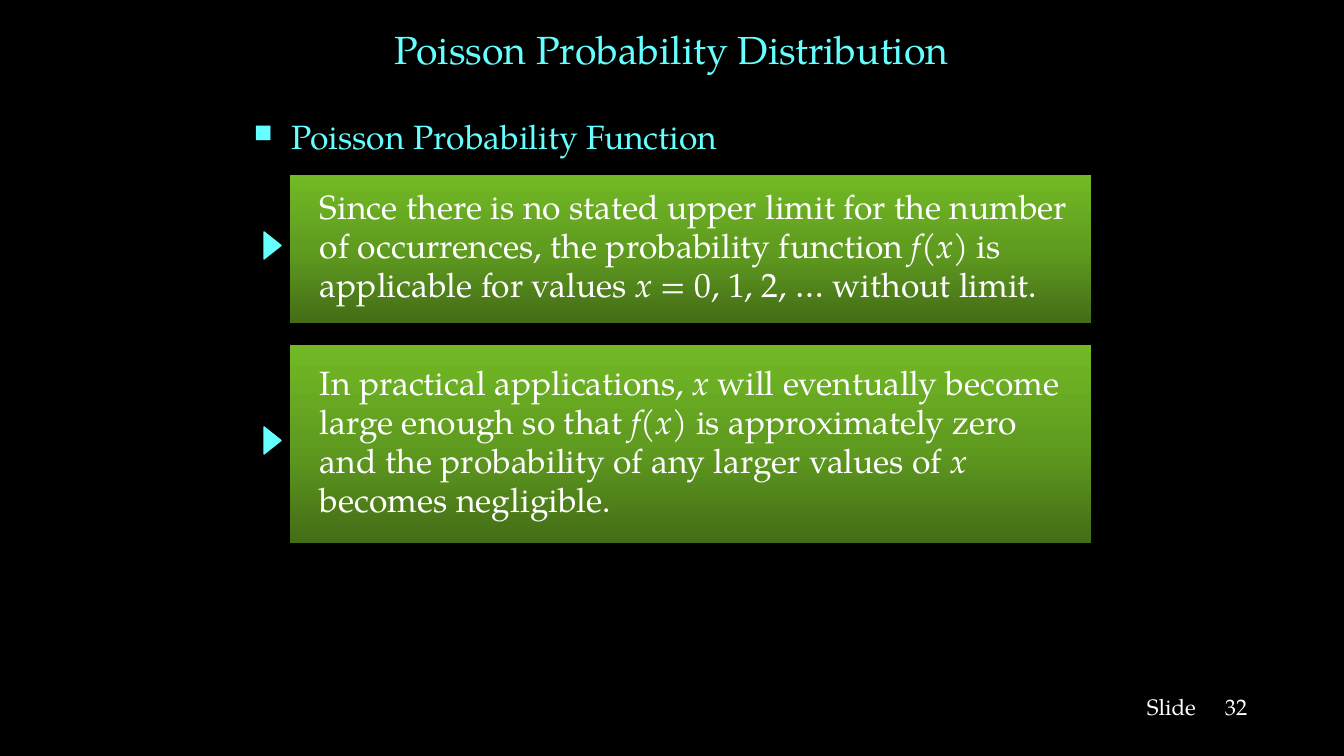
from dataclasses import dataclass

from lxml import etree
from pptx import Presentation
from pptx import util as u
from pptx.dml.color import RGBColor
from pptx.enum import shapes, text
from pptx.oxml.ns import qn

EMU_PER_PX = 914400 / 100.8


@dataclass(frozen=True)
class Theme:
    font: str = "TeX Gyre Pagella"
    background: str = "000000"
    accent: str = "66FFFF"
    body: str = "FFFFFF"
    gradient: tuple[str, ...] = ("446D16", "609C20", "72B925")
    title_size: int = 28
    body_size: int = 24
    footer_size: int = 16


@dataclass(frozen=True)
class Box:
    left: int
    top: int
    width: int
    height: int


@dataclass(frozen=True)
class Label:
    text: str
    box: Box
    size: int
    color: str
    align: text.PP_ALIGN = text.PP_ALIGN.LEFT
    anchor: text.MSO_ANCHOR = text.MSO_ANCHOR.TOP
    bullet: bool = False


@dataclass(frozen=True)
class Panel:
    box: Box
    marker_top: int
    lines: tuple[tuple[str, ...], ...]  # runs alternate upright, italic


THEME = Theme()

LABELS = (
    Label("Poisson Probability Distribution", Box(243, 4, 857, 90),
          THEME.title_size, THEME.accent, text.PP_ALIGN.CENTER, text.MSO_ANCHOR.MIDDLE),
    Label("Poisson Probability Function", Box(244, 111, 857, 55),
          THEME.body_size, THEME.accent, bullet=True),
    Label("Slide", Box(1137, 688, 75, 37), THEME.footer_size, THEME.body),
    Label("32", Box(1215, 688, 50, 37), THEME.footer_size, THEME.body),
)

PANELS = (
    Panel(Box(290, 175, 801, 148), 237, (
        ("Since there is no stated upper limit for the number",),
        ("of occurrences, the probability function ", "f", "(", "x", ") is"),
        ("applicable for values ", "x", " = 0, 1, 2, … without limit."),
    )),
    Panel(Box(290, 345, 801, 198), 432, (
        ("In practical applications, ", "x", " will eventually become"),
        ("large enough so that ", "f", "(", "x", ") is approximately zero"),
        ("and the probability of any larger values of ", "x"),
        ("becomes negligible.",),
    )),
)


def px(n: int) -> u.Emu:
    return u.Emu(round(n * EMU_PER_PX))


def place(box: Box) -> tuple[u.Emu, ...]:
    return px(box.left), px(box.top), px(box.width), px(box.height)


def add_run(p, words: str, size: int, color: str, italic: bool = False) -> None:
    r = p.add_run()
    r.text = words
    r.font.name = THEME.font
    r.font.size = u.Pt(size)
    r.font.italic = italic
    r.font.color.rgb = RGBColor.from_string(color)


def add_bullet(p, color: str) -> None:
    pPr = p._p.get_or_add_pPr()
    pPr.set("marL", str(px(38)))
    pPr.set("indent", str(-px(38)))
    tint = etree.SubElement(pPr, qn("a:buClr"))
    etree.SubElement(tint, qn("a:srgbClr"), val=color)
    etree.SubElement(pPr, qn("a:buSzPct"), val="75000")
    etree.SubElement(pPr, qn("a:buChar"), char="■")


def add_label(s, label: Label) -> None:
    tf = s.shapes.add_textbox(*place(label.box)).text_frame
    tf.word_wrap = True
    tf.vertical_anchor = label.anchor
    p = tf.paragraphs[0]
    p.alignment = label.align
    if label.bullet:
        p.space_before = u.Pt(label.size * 0.2)
        add_bullet(p, label.color)
    add_run(p, label.text, label.size, label.color)


def fill_gradient(sp, colors: tuple[str, ...]) -> None:
    """Spread the colours evenly from the bottom edge to the top edge."""
    sp.fill.gradient()
    grad = sp._element.spPr.find(qn("a:gradFill"))
    for child in list(grad):
        grad.remove(child)
    stops = etree.SubElement(grad, qn("a:gsLst"))
    for i, color in enumerate(colors):
        stop = etree.SubElement(stops, qn("a:gs"), pos=str(100000 * i // (len(colors) - 1)))
        etree.SubElement(stop, qn("a:srgbClr"), val=color)
    etree.SubElement(grad, qn("a:lin"), ang="16200000", scaled="0")


def add_panel(s, panel: Panel) -> None:
    sp = s.shapes.add_shape(shapes.MSO_SHAPE.RECTANGLE, *place(panel.box))
    sp.shadow.inherit = False
    sp.line.fill.background()
    fill_gradient(sp, THEME.gradient)
    tf = sp.text_frame
    tf.word_wrap = True
    tf.vertical_anchor = text.MSO_ANCHOR.MIDDLE
    tf.margin_left, tf.margin_right = px(30), px(0)
    for i, line in enumerate(panel.lines):
        p = tf.add_paragraph() if i else tf.paragraphs[0]
        p.alignment = text.PP_ALIGN.LEFT
        p.line_spacing = 0.8
        p.space_before = u.Pt(THEME.body_size * 0.2)
        for j, words in enumerate(line):
            add_run(p, words, THEME.body_size, THEME.body, italic=j % 2 == 1)


def add_marker(s, top: int) -> None:
    sp = s.shapes.add_shape(shapes.MSO_SHAPE.ISOSCELES_TRIANGLE, *place(Box(259, top, 27, 17)))
    sp.rotation = 90
    sp.shadow.inherit = False
    sp.fill.solid()
    sp.fill.fore_color.rgb = RGBColor.from_string(THEME.accent)
    sp.line.color.rgb = RGBColor.from_string(THEME.accent)
    sp.line.width = u.Pt(1)


def main() -> None:
    prs = Presentation()
    prs.slide_width, prs.slide_height = px(1344), px(756)
    s = prs.slides.add_slide(prs.slide_layouts[6])
    s.background.fill.solid()
    s.background.fill.fore_color.rgb = RGBColor.from_string(THEME.background)

    # Title, topic and slide number
    for label in LABELS:
        add_label(s, label)

    # Statements with their arrow markers
    for panel in PANELS:
        add_panel(s, panel)
        add_marker(s, panel.marker_top)

    prs.save("out.pptx")


if __name__ == "__main__":
    main()
